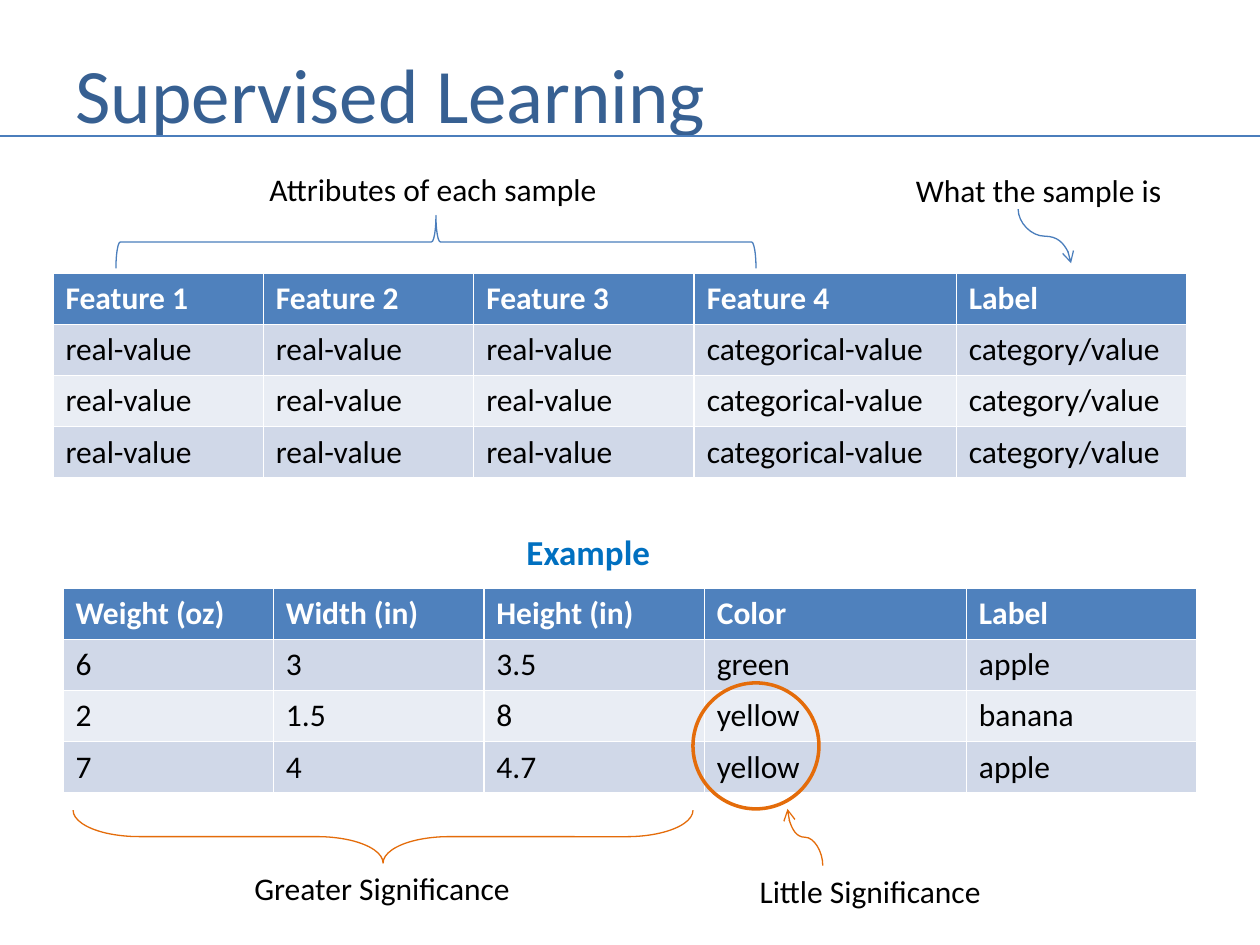
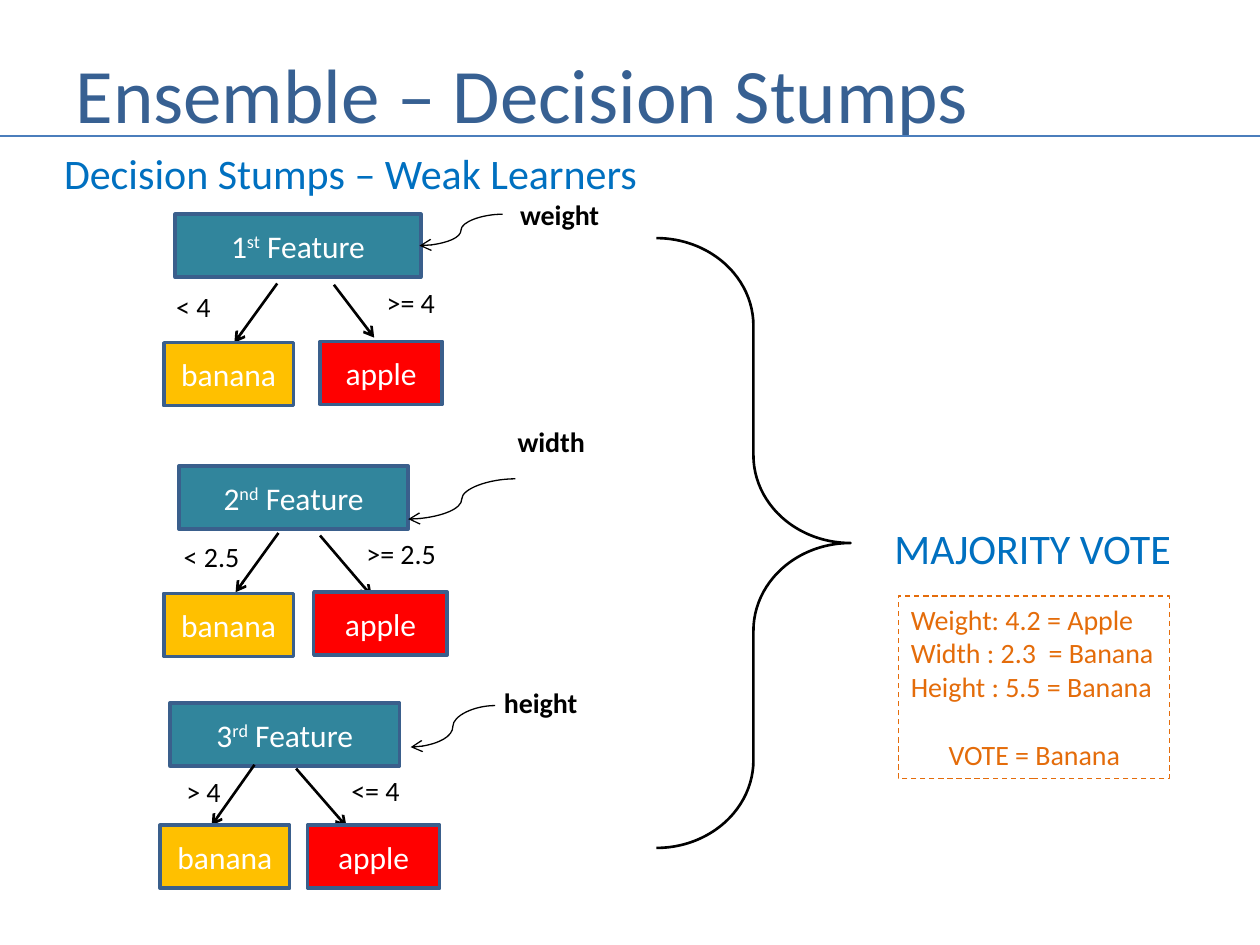
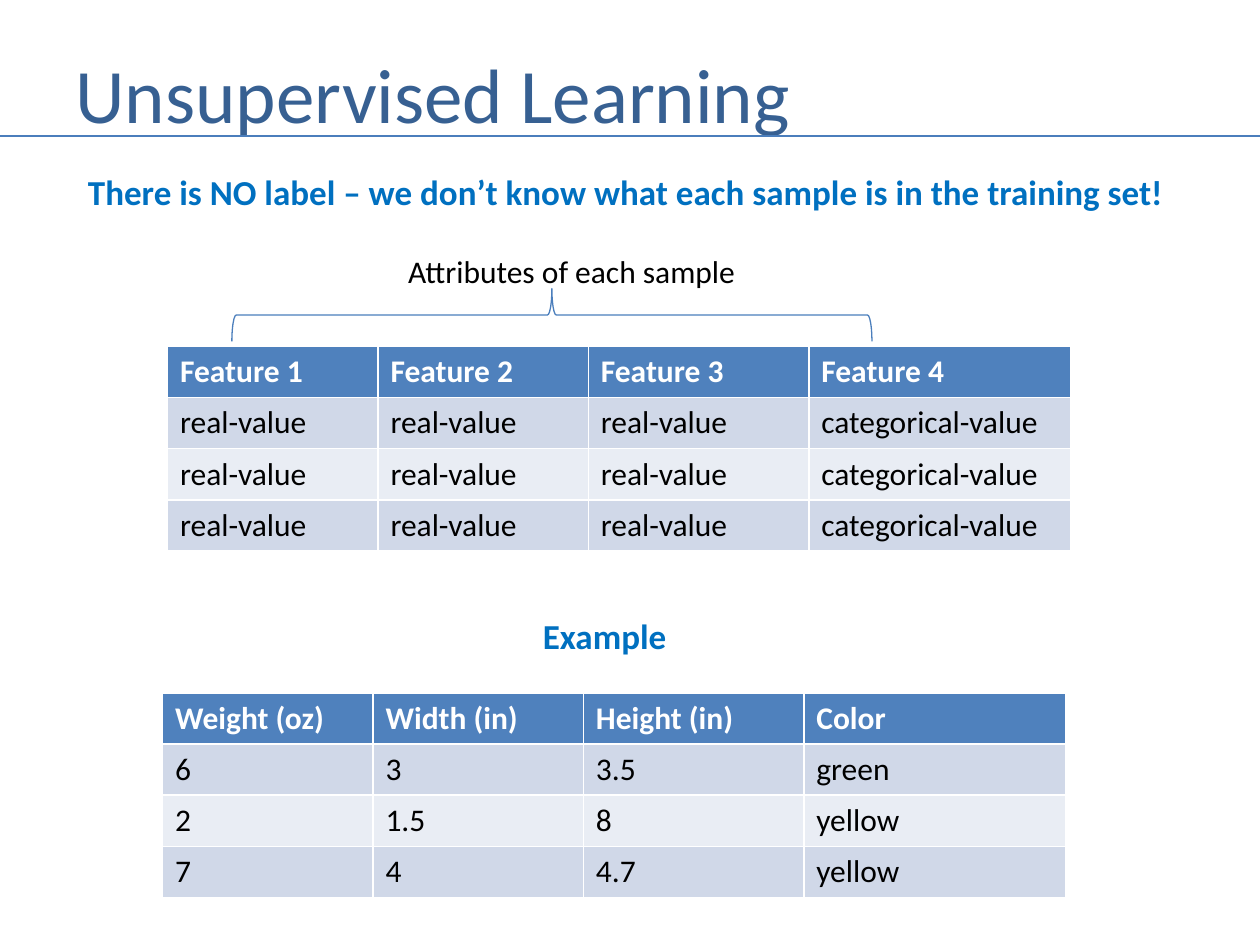
"""Build three slides on supervised, ensemble and unsupervised learning."""
from lxml import etree
from pptx import Presentation
from pptx.dml.color import RGBColor
from pptx.enum import dml, shapes, text
from pptx.oxml import ns
from pptx.util import Inches, Pt

HUES = {
    "title": "376092", "rule": "4B7EBC", "accent": "0070C0", "note": "E46C0A",
    "ink": "000000", "white": "FFFFFF", "head": "4F81BD", "odd": "D0D8E8",
    "even": "E9EDF4", "root": "31859C", "edge": "3A5F8C",
    "banana": "FFC000", "apple": "FF0000",
}
FONT = "Calibri"
TEXT = {
    "title": {"size": 44, "hue": "title"},
    "label": {"size": 18, "hue": "ink"},
    "small": {"size": 16, "hue": "ink"},
    "name": {"size": 16, "hue": "ink", "bold": True},
    "sub": {"size": 24, "hue": "accent"},
    "lead": {"size": 20, "hue": "accent", "bold": True},
    "head": {"size": 18, "hue": "white", "bold": True},
    "box": {"size": 18, "hue": "white"},
    "vote": {"size": 16, "hue": "note"},
}

COLS = [1.67, 1.67, 1.75, 2.08, 1.83]
KINDS = [["Feature 1", "Feature 2", "Feature 3", "Feature 4", "Label"]] + [
    ["real-value"] * 3 + ["categorical-value", "category/value"]] * 3
FRUIT = [
    ["Weight (oz)", "Width (in)", "Height (in)", "Color", "Label"],
    ["6", "3", "3.5", "green", "apple"],
    ["2", "1.5", "8", "yellow", "banana"],
    ["7", "4", "4.7", "yellow", "apple"],
]

STUMPS = [
    {"rank": ("1", "st"), "root": (1.39, 1.7, 1.95),
     "name": ("weight", 4.03, 1.52, 0.84), "link": (3.99, 1.7, 3.33, 1.95),
     "tests": [("< 4", 1.3, 2.25, 0.48), (">= 4", 2.97, 2.22, 0.59)],
     "arms": [(2.2, 2.25, 1.86, 2.72), (2.65, 2.26, 2.97, 2.68)],
     "leaves": [("banana", 1.3, 2.72, 1.03), ("apple", 2.54, 2.71, 0.97)]},
    {"rank": ("2", "nd"), "root": (1.42, 3.7, 1.82),
     "name": ("width", 4.01, 3.32, 0.74), "link": (4.09, 3.8, 3.24, 4.12),
     "tests": [("< 2.5", 1.36, 4.23, 0.65), (">= 2.5", 2.81, 4.21, 0.76)],
     "arms": [(2.21, 4.23, 1.87, 4.7), (2.54, 4.25, 2.95, 4.73)],
     "leaves": [("banana", 1.3, 4.71, 1.03), ("apple", 2.49, 4.7, 1.06)]},
    {"rank": ("3", "rd"), "root": (1.35, 5.58, 1.82),
     "name": ("height", 3.9, 5.39, 0.79), "link": (3.93, 5.6, 3.26, 5.93),
     "tests": [("> 4", 1.38, 6.1, 0.48), ("<= 4", 2.69, 6.09, 0.59)],
     "arms": [(2.02, 6.07, 1.68, 6.55), (2.35, 6.1, 2.75, 6.56)],
     "leaves": [("banana", 1.27, 6.55, 1.03), ("apple", 2.44, 6.55, 1.05)]},
]
VOTES = ["Weight: 4.2 = Apple", "Width : 2.3  = Banana",
         "Height : 5.5 = Banana", "VOTE = Banana"]


def tint(name):
    return RGBColor.from_string(HUES[name])


def write(para, words, style):
    run = para.add_run()
    run.text = words
    form = TEXT[style]
    values = {"name": FONT, "size": Pt(form["size"]), "bold": form.get("bold", False)}
    for key, value in values.items():
        setattr(run.font, key, value)
    run.font.color.rgb = tint(form["hue"])
    return run


def stroke(line, hue, width):
    line.color.rgb = tint(hue)
    line.width = Pt(width)


def start(deck, words, width):
    slide = deck.slides.add_slide(deck.slide_layouts[5])
    title = slide.shapes.title
    spot = {"left": 0.5, "top": 0.3, "width": width, "height": 0.87}
    for key, value in spot.items():
        setattr(title, key, Inches(value))
    title.text_frame.vertical_anchor = text.MSO_ANCHOR.MIDDLE
    para = title.text_frame.paragraphs[0]
    para.alignment = text.PP_ALIGN.LEFT
    write(para, words, "title")
    join(slide, (0, 1.08, 10, 1.08), "rule", 1.5)
    return slide


def label(slide, words, left, top, width, style):
    high = TEXT[style]["size"] / 60 + 0.1
    box = slide.shapes.add_textbox(*map(Inches, (left, top, width, high)))
    box.text_frame.auto_size = text.MSO_AUTO_SIZE.SHAPE_TO_FIT_TEXT
    write(box.text_frame.paragraphs[0], words, style)


def shape(slide, kind, at, hue, width, fill=None):
    item = slide.shapes.add_shape(kind, *map(Inches, at))
    item.shadow.inherit = False
    if fill:
        item.fill.solid()
        item.fill.fore_color.rgb = tint(fill)
    else:
        item.fill.background()
    stroke(item.line, hue, width)
    return item


def brace(slide, at, hue, width, turn=0, bend=None):
    item = shape(slide, shapes.MSO_SHAPE.RIGHT_BRACE, at, hue, width)
    item.rotation = turn
    if bend:
        item.adjustments[0] = bend


def block(slide, left, top, width, fill):
    item = shape(slide, shapes.MSO_SHAPE.RECTANGLE, (left, top, width, 0.5),
                 "edge", 2, fill)
    item.text_frame.vertical_anchor = text.MSO_ANCHOR.MIDDLE
    para = item.text_frame.paragraphs[0]
    para.alignment = text.PP_ALIGN.CENTER
    return para


def join(slide, ends, hue, width, arrow=False, curve=False, upright=False):
    x1, y1, x2, y2 = ends
    if upright:
        mx, my, dx, dy = (x1 + x2) / 2, (y1 + y2) / 2, (x1 - x2) / 2, (y1 - y2) / 2
        ends = mx - dy, my + dx, mx + dy, my - dx
    kind = shapes.MSO_CONNECTOR.CURVE if curve else shapes.MSO_CONNECTOR.STRAIGHT
    item = slide.shapes.add_connector(kind, *map(Inches, ends))
    stroke(item.line, hue, width)
    props = item._element.spPr
    if upright:
        props.find(ns.qn("a:xfrm")).set("rot", "16200000")
    if arrow:
        etree.SubElement(props.find(ns.qn("a:ln")), ns.qn("a:tailEnd"), type="arrow")
    etree.SubElement(props, ns.qn("a:effectLst"))


def grid(slide, rows, count, left, top):
    cols = COLS[:count]
    at = map(Inches, (left, top, sum(cols), 1.62))
    table = slide.shapes.add_table(len(rows), count, *at).table
    for col, width in zip(table.columns, cols):
        col.width = Inches(width)
    for r, row in enumerate(rows):
        fill = "head" if r == 0 else "odd" if r % 2 else "even"
        for c, words in enumerate(row[:count]):
            cell = table.cell(r, c)
            cell.fill.solid()
            cell.fill.fore_color.rgb = tint(fill)
            write(cell.text_frame.paragraphs[0], words, "label" if r else "head")


def supervised(deck):
    slide = start(deck, "Supervised Learning", 6.33)
    grid(slide, KINDS, 5, 0.42, 2.17)
    grid(slide, FRUIT, 5, 0.5, 4.67)
    label(slide, "Attributes of each sample", 2.04, 1.3, 2.83, "label")
    label(slide, "What the sample is", 7.17, 1.31, 2.17, "label")
    label(slide, "Example", 4.08, 4.16, 1.19, "lead")
    label(slide, "Greater Significance", 1.92, 6.85, 2.25, "label")
    label(slide, "Little Significance", 5.93, 6.87, 1.98, "label")
    brace(slide, (3.25, -0.62, 0.42, 5.08), "rule", 0.75, 270)
    brace(slide, (2.83, 4.18, 0.42, 4.92), "note", 0.75, 90, 1.25)
    shape(slide, shapes.MSO_SHAPE.OVAL, (5.5, 5.42, 1, 1), "note", 2)
    for ends, hue in [((8.08, 1.66, 8.5, 2.09), "rule"),
                      ((6.53, 6.87, 6.25, 6.42), "note")]:
        join(slide, ends, hue, 0.75, arrow=True, curve=True, upright=True)


def stump(slide, part):
    rank, suffix = part["rank"]
    para = block(slide, *part["root"], "root")
    write(para, rank, "box")
    write(para, suffix, "box").font._element.set("baseline", "30000")
    write(para, " Feature", "box")
    label(slide, *part["name"], "name")
    join(slide, part["link"], "ink", 0.75, arrow=True, curve=True)
    for test, arm, leaf in zip(part["tests"], part["arms"], part["leaves"]):
        label(slide, *test, "small")
        join(slide, arm, "ink", 1.5, arrow=True)
        fruit, *at = leaf
        write(block(slide, *at, fruit), fruit, "box")


def ensemble(deck):
    slide = start(deck, "Ensemble – Decision Stumps", 8.5)
    label(slide, "Decision Stumps – Weak Learners", 0.41, 1.12, 4.79, "sub")
    for part in STUMPS:
        stump(slide, part)
    brace(slide, (5.21, 1.89, 1.54, 4.84), "ink", 1.5, bend=0.452)
    label(slide, "MAJORITY VOTE", 7, 4.1, 2.42, "sub")
    card = shape(slide, shapes.MSO_SHAPE.RECTANGLE, (7.13, 4.73, 2.15, 1.45),
                 "note", 0.75)
    card.line.dash_style = dml.MSO_LINE.DASH
    frame = card.text_frame
    frame.word_wrap = False
    frame.auto_size = text.MSO_AUTO_SIZE.SHAPE_TO_FIT_TEXT
    frame.vertical_anchor = text.MSO_ANCHOR.TOP
    for i, words in enumerate(VOTES):
        para = frame.add_paragraph() if i else frame.paragraphs[0]
        para.alignment = text.PP_ALIGN.LEFT
        write(para, words, "vote")
    para.space_before = Pt(19.5)
    para._p.get_or_add_pPr().set("marL", str(Inches(0.3)))


def unsupervised(deck):
    slide = start(deck, "Unsupervised Learning", 6.33)
    grid(slide, KINDS, 4, 1.33, 2.75)
    grid(slide, FRUIT, 4, 1.29, 5.5)
    label(slide, "There is NO label – we don’t know what each sample is in the "
          "training set!", 0.6, 1.3, 8.8, "lead")
    label(slide, "Attributes of each sample", 3.14, 1.95, 2.83, "label")
    label(slide, "Example", 4.21, 4.83, 1.19, "lead")
    brace(slide, (4.17, -0.04, 0.42, 5.08), "rule", 0.75, 270)


def main():
    deck = Presentation()
    deck.slide_width, deck.slide_height = Inches(10), Inches(7.5)
    for build in (supervised, ensemble, unsupervised):
        build(deck)
    deck.save("out.pptx")


if __name__ == "__main__":
    main()
